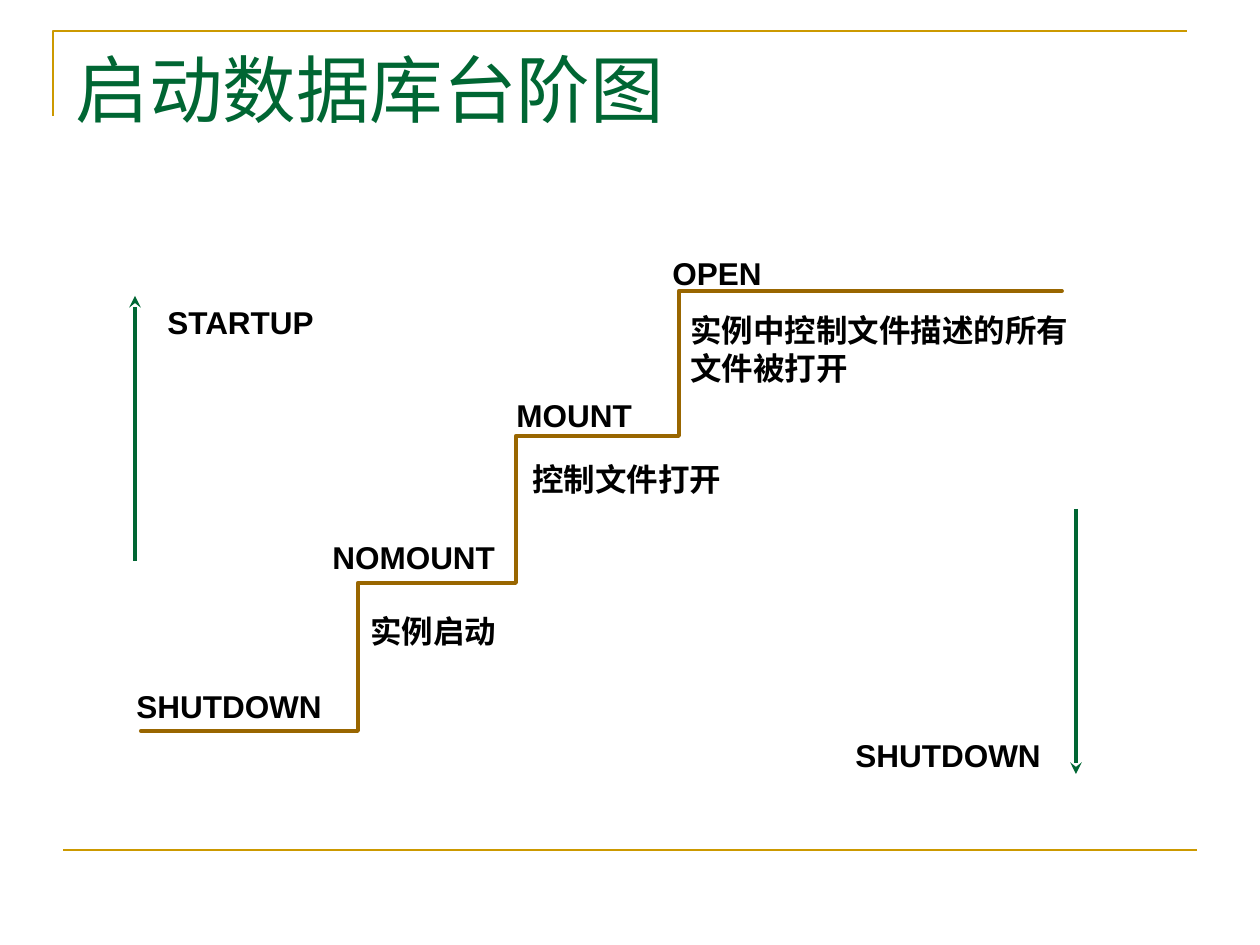
"""Build a slide of the steps a database climbs from shutdown to open."""
import pptx
import pptx.util
import pptx.dml.color
import pptx.enum.shapes
import pptx.enum.text
import pptx.oxml
import pptx.oxml.ns

THEME = {
    "title": ("Times New Roman", 42, "006633", False),
    "label": ("Arial", 18, "000000", True),
    "frame": ("CC9900", 1.5),
    "stair": ("996600", 2.25),
    "arrow": ("006633", 2.25),
}
SIZE = (1260, 945)
SCALE = 914400 / 126

TITLE = ("启动数据库台阶图", 63, 38, 1134, 157)
LABELS = [
    ("OPEN", 660, 248, 164, 50, True),
    ("MOUNT", 504, 390, 205, 50, True),
    ("NOMOUNT", 320, 532, 199, 50, True),
    ("SHUTDOWN", 124, 681, 228, 50, True),
    ("实例中控制文件描述的所有文件被打开", 678, 305, 406, 88, True),
    ("控制文件打开", 520, 454, 258, 50, True),
    ("实例启动", 358, 606, 238, 50, True),
    ("STARTUP", 155, 297, 174, 50, False),
    ("SHUTDOWN", 843, 730, 210, 50, False),
]
CORNER = [(53, 116), (53, 31), (1187, 31)]
FOOT = (63, 850, 1197, 850)
EDGES = [141, 358, 516, 679, 1062]
LEVELS = [731, 583, 436, 291]
ARROWS = [(135, 561, 135, 296), (1076, 509, 1076, 774)]


def emu(px):
    return pptx.util.Emu(round(px * SCALE))


def add_tag(parent, tag, **attrs):
    node = pptx.oxml.parse_xml(f"<a:{tag} {pptx.oxml.ns.nsdecls('a')}/>")
    for key, val in attrs.items():
        node.set(key, val)
    parent.append(node)


def set_line(line, style):
    color, width = THEME[style]
    line.color.rgb = pptx.dml.color.RGBColor.from_string(color)
    line.width = pptx.util.Pt(width)


def set_text(shape, text, style, wrap):
    name, size, color, bold = THEME[style]
    frame = shape.text_frame
    frame.text = text
    frame.word_wrap = wrap
    frame.auto_size = pptx.enum.text.MSO_AUTO_SIZE.NONE
    frame.vertical_anchor = pptx.enum.text.MSO_ANCHOR.TOP
    para = frame.paragraphs[0]
    para.alignment = pptx.enum.text.PP_ALIGN.LEFT
    font = para.runs[0].font
    font.name, font.size, font.bold = name, pptx.util.Pt(size), bold
    font.color.rgb = pptx.dml.color.RGBColor.from_string(color)


def add_path(slide, points, style):
    pen = slide.shapes.build_freeform(*points[0], scale=SCALE)
    pen.add_line_segments(points[1:], close=False)
    shape = pen.convert_to_shape()
    shape.shadow.inherit = False
    shape.fill.background()
    set_line(shape.line, style)
    return shape


def add_line(slide, ends, style):
    kind = pptx.enum.shapes.MSO_CONNECTOR.STRAIGHT
    line = slide.shapes.add_connector(kind, *map(emu, ends))
    set_line(line.line, style)
    add_tag(line._element.spPr, "effectLst")
    return line


def add_stair(slide):
    points = []
    for step, level in enumerate(LEVELS):
        points += [(EDGES[step], level), (EDGES[step + 1], level)]
    stroke = add_path(slide, points, "stair").line._get_or_add_ln()
    stroke.set("cap", "rnd")
    add_tag(stroke, "round")


def main():
    deck = pptx.Presentation()
    deck.slide_width, deck.slide_height = map(emu, SIZE)
    slide = deck.slides.add_slide(deck.slide_layouts[5])
    add_path(slide, CORNER, "frame")
    add_line(slide, FOOT, "frame")

    text, *box = TITLE
    title = slide.shapes.title
    title.left, title.top, title.width, title.height = map(emu, box)
    set_text(title, text, "title", True)

    add_stair(slide)
    for text, *box, wrap in LABELS:
        set_text(slide.shapes.add_textbox(*map(emu, box)), text, "label", wrap)
    for ends in ARROWS:
        arrow = add_line(slide, ends, "arrow")
        add_tag(arrow.line._get_or_add_ln(), "tailEnd", type="stealth")
    deck.save("out.pptx")


if __name__ == "__main__":
    main()
